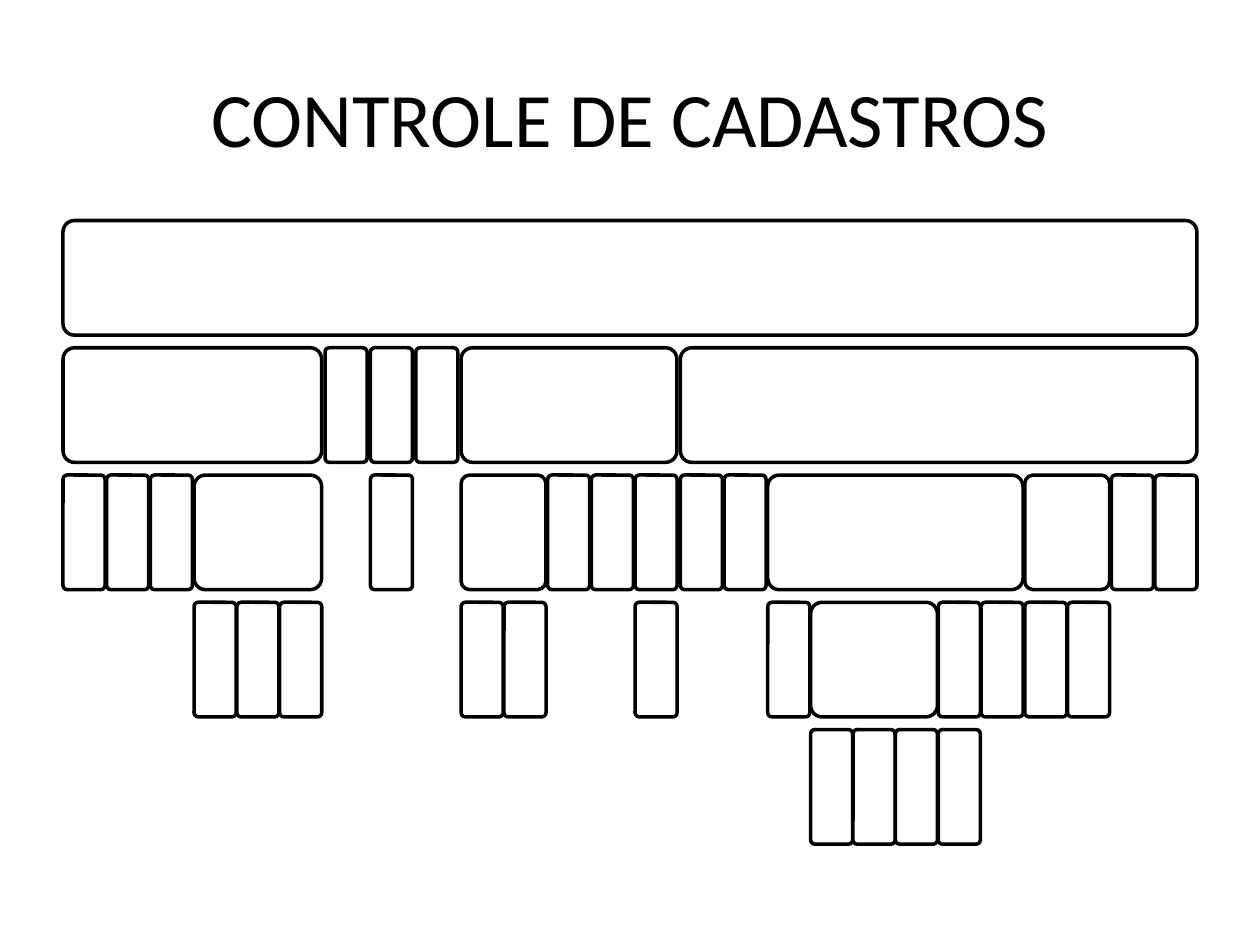
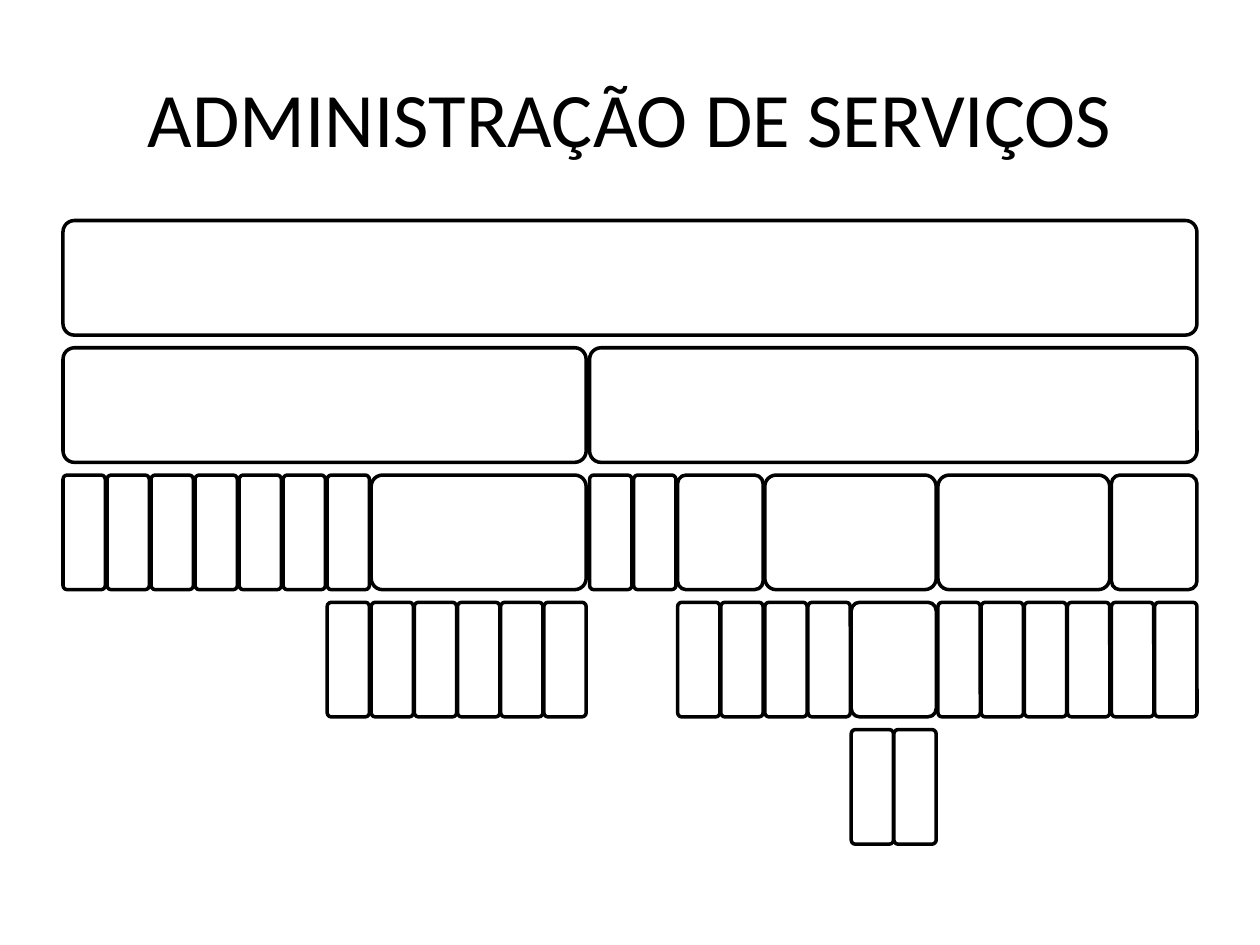
from dataclasses import dataclass

from pptx import Presentation
from pptx.dml.color import RGBColor
from pptx.enum.shapes import MSO_SHAPE
from pptx.enum.text import MSO_ANCHOR, PP_ALIGN
from pptx.shapes.group import GroupShape
from pptx.slide import Slide
from pptx.util import Inches, Pt

ROUNDED = MSO_SHAPE.ROUNDED_RECTANGLE
CENTER = PP_ALIGN.CENTER
MIDDLE = MSO_ANCHOR.MIDDLE

# Shared style
FONT = "Calibri"
INK = "000000"
PAPER = "FFFFFF"
TITLE_SIZE = 44
LINE_WIDTH = 2
CORNER = 0.1

# Shared geometry: slide size, margins and the rows of the hierarchy
SLIDE_WIDTH, SLIDE_HEIGHT = Inches(10), Inches(7.5)
MARGIN = 0.05 * SLIDE_WIDTH
CONTENT_WIDTH = 0.9 * SLIDE_WIDTH
TITLE_TOP, TITLE_HEIGHT = 0.04 * SLIDE_HEIGHT, SLIDE_HEIGHT / 6
ROWS = 5
ROWS_TOP, ROWS_HEIGHT = Inches(1.75), Inches(4.95)
ROW_GAP = Inches(0.1)
BOX_HEIGHT = (ROWS_HEIGHT - (ROWS - 1) * ROW_GAP) / ROWS
ROW_STEP = BOX_HEIGHT + ROW_GAP
FIRST_GAP = 0.08  # gap in the second row, in leaf widths; halves on each row below


@dataclass(frozen=True)
class Node:
    """A box of the hierarchy, as wide as the boxes under it."""
    children: tuple["Node", ...] = ()

    def gap(self, row: int) -> float:
        return FIRST_GAP / 2 ** row

    def span(self, row: int = 0) -> float:
        """Width in leaf widths."""
        if not self.children:
            return 1
        gaps = self.gap(row) * (len(self.children) - 1)
        return gaps + sum(child.span(row + 1) for child in self.children)


@dataclass(frozen=True)
class Chart:
    title: str
    root: Node


LEAF = Node()


def parent(*children: Node) -> Node:
    return Node(children)


def leaves(count: int) -> tuple[Node, ...]:
    return (LEAF,) * count


def family(count: int) -> Node:
    """A parent whose children are all leaves."""
    return Node(leaves(count))


# Slide contents
CHARTS = (
    Chart("CONTROLE DE CADASTROS", parent(
        parent(*leaves(3), family(3)),
        LEAF,
        family(1),
        LEAF,
        parent(family(2), *leaves(2), family(1)),
        parent(
            *leaves(2),
            parent(LEAF, family(3), family(1), LEAF),
            family(2),
            *leaves(2),
        ),
    )),
    Chart("ADMINISTRAÇÃO DE SERVIÇOS", parent(
        parent(*leaves(6), family(1), family(5)),
        parent(
            *leaves(2),
            family(2),
            parent(*leaves(2), family(2)),
            family(4),
            family(2),
        ),
    )),
)


def color(code: str) -> RGBColor:
    return RGBColor.from_string(code)


def set_title(page: Slide, text: str) -> None:
    title = page.shapes.title
    title.left, title.top = int(MARGIN), int(TITLE_TOP)
    title.width, title.height = int(CONTENT_WIDTH), int(TITLE_HEIGHT)
    title.text_frame.vertical_anchor = MIDDLE
    para = title.text_frame.paragraphs[0]
    para.alignment = CENTER
    span = para.add_run()
    span.text = text
    span.font.name = FONT
    span.font.size = Pt(TITLE_SIZE)
    span.font.color.rgb = color(INK)


def draw_node(group: GroupShape, node: Node, left: float, leaf_width: float,
              row: int = 0) -> None:
    """Draw a box, then its children side by side on the row below."""
    box = group.shapes.add_shape(
        ROUNDED, int(left), int(ROWS_TOP + row * ROW_STEP),
        int(node.span(row) * leaf_width), int(BOX_HEIGHT))
    box.adjustments[0] = CORNER
    box.shadow.inherit = False
    box.fill.solid()
    box.fill.fore_color.rgb = color(PAPER)
    box.line.color.rgb = color(INK)
    box.line.width = Pt(LINE_WIDTH)

    for child in node.children:
        draw_node(group, child, left, leaf_width, row + 1)
        left += (child.span(row + 1) + node.gap(row)) * leaf_width


def main() -> None:
    deck = Presentation()
    deck.slide_width, deck.slide_height = SLIDE_WIDTH, SLIDE_HEIGHT
    title_only = deck.slide_layouts.get_by_name("Title Only")
    for chart in CHARTS:
        page = deck.slides.add_slide(title_only)
        page.background.fill.solid()
        page.background.fill.fore_color.rgb = color(PAPER)
        set_title(page, chart.title)
        group = page.shapes.add_group_shape()
        draw_node(group, chart.root, MARGIN, CONTENT_WIDTH / chart.root.span())
    deck.save("out.pptx")


if __name__ == "__main__":
    main()
